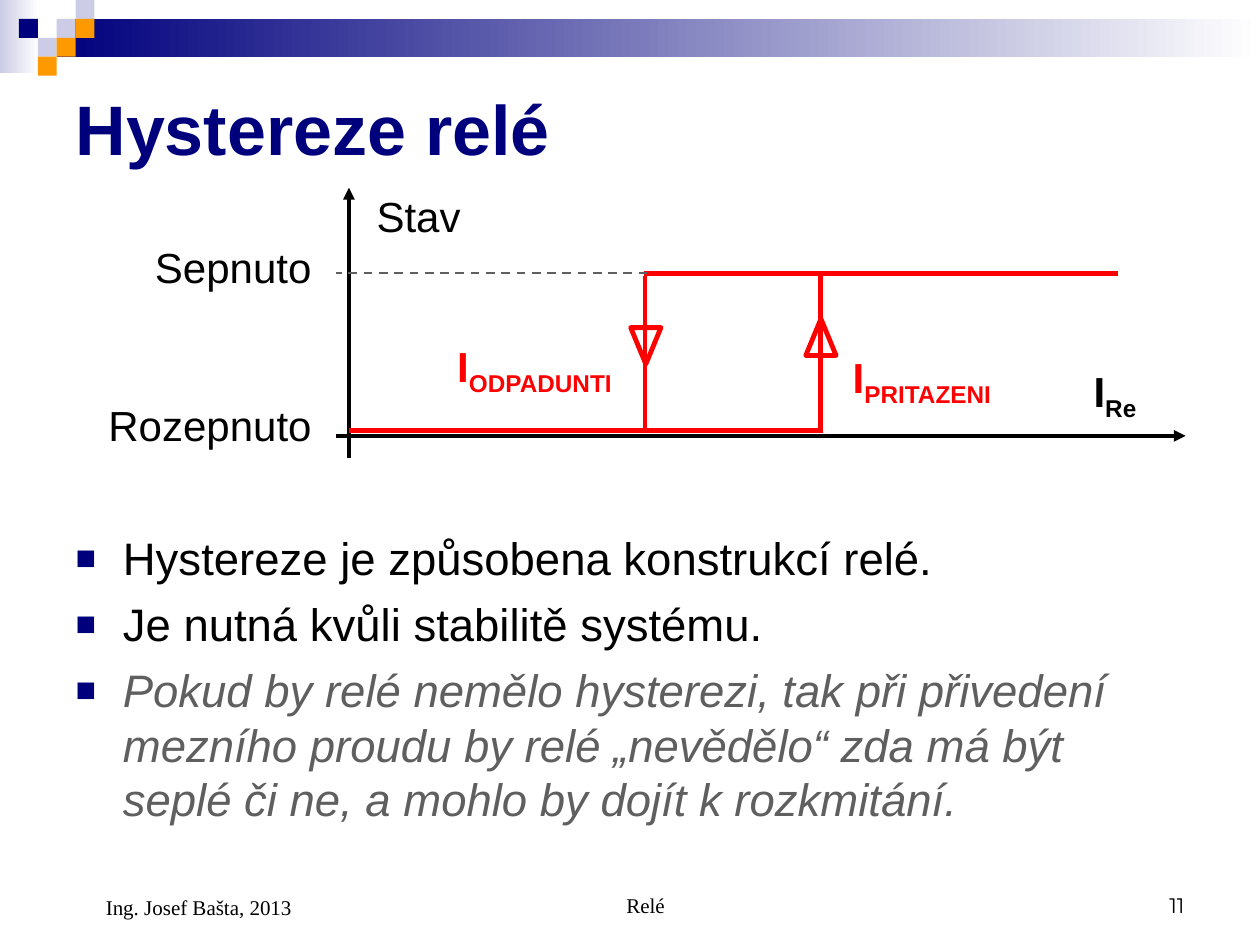
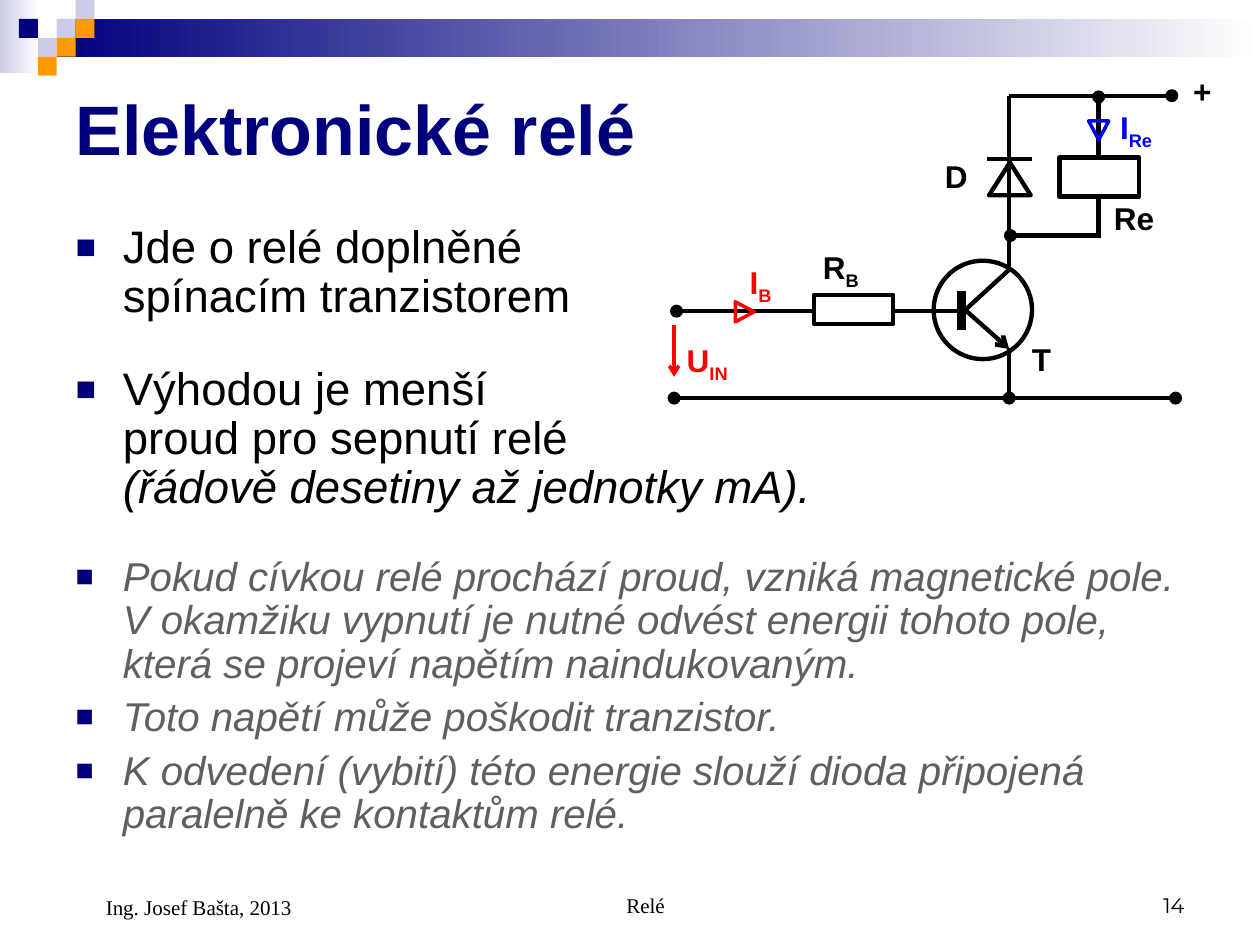
from dataclasses import dataclass

import lxml.etree
import pptx
import pptx.dml.color
import pptx.enum.dml
import pptx.enum.shapes
import pptx.enum.text
import pptx.oxml.ns
import pptx.util

Pt = pptx.util.Pt
RGB = pptx.dml.color.RGBColor
SHAPE = pptx.enum.shapes.MSO_SHAPE
ALIGN = pptx.enum.text.PP_ALIGN
ANCHOR = pptx.enum.text.MSO_ANCHOR
qn = pptx.oxml.ns.qn


@dataclass(frozen=True)
class Theme:
    navy: RGB = RGB(0x00, 0x00, 0x7D)
    pale: RGB = RGB(0xCC, 0xCC, 0xE6)
    orange: RGB = RGB(0xFF, 0x99, 0x00)
    white: RGB = RGB(0xFF, 0xFF, 0xFF)
    black: RGB = RGB(0x00, 0x00, 0x00)
    gray: RGB = RGB(0x5F, 0x5F, 0x5F)
    red: RGB = RGB(0xFF, 0x00, 0x00)
    blue: RGB = RGB(0x00, 0x00, 0xFF)
    font: str = "Arial"
    footer_font: str = "Times New Roman"
    number_font: str = "Montserrat"
    title_size: float = 40
    body_size: float = 26
    note_size: float = 23
    graph_size: float = 24
    circuit_size: float = 18
    footer_size: float = 12


theme = Theme()


def style_font(font, size, color, name=theme.font, bold=False, italic=False):
    font.name, font.size, font.bold, font.italic = name, Pt(size), bold, italic
    font.color.rgb = color


def add_box(slide, text, box, margins, align=ALIGN.LEFT, anchor=ANCHOR.TOP):
    """Add a wrapping text box and return its only paragraph."""
    frame = slide.shapes.add_textbox(*map(Pt, box)).text_frame
    frame.word_wrap = True
    frame.vertical_anchor = anchor
    frame.margin_left, frame.margin_top, frame.margin_right, frame.margin_bottom = map(Pt, margins)
    paragraph = frame.paragraphs[0]
    paragraph.text = text
    paragraph.alignment = align
    return paragraph


# Hysteresis graph
axis_x, axis_y = 199.4, 249.1
off_y, on_y = 246.2, 156.2
release_x, attract_x = 368.6, 468.7
# x1, y1, x2, y2, color, width, head, tail, dashed
graph_lines = [
    (192.2, axis_y, 677.5, axis_y, theme.black, 2.25, None, "triangle", False),
    (axis_x, 262, axis_x, 107.3, theme.black, 2.25, None, "triangle", False),
    (axis_x, off_y, 470.2, off_y, theme.red, 2.75, None, None, False),
    (367.9, on_y, 638.6, on_y, theme.red, 2.75, None, None, False),
    (attract_x, 157.7, attract_x, off_y, theme.red, 2.75, None, None, False),
    (release_x, 157.7, release_x, off_y, theme.red, 2.75, None, None, False),
    (370, on_y, 192.2, on_y, theme.gray, 1.25, None, None, True),
]
# preset, box, rotation, color, width, filled
graph_outlines = [
    (SHAPE.ISOSCELES_TRIANGLE, (460.5, 182.2, 17.3, 20.9), 0, theme.red, 2.75, False),
    (SHAPE.ISOSCELES_TRIANGLE, (360.4, 187.2, 17.3, 20.9), 180, theme.red, 2.75, False),
]
# text, subscript, box, color, bold, alignment
graph_labels = [
    ("I", "Re", (617.8, 205.2, 73.4, 40.3), theme.black, True, ALIGN.LEFT),
    ("Stav", "", (208.1, 105.1, 73.4, 36), theme.black, False, ALIGN.LEFT),
    ("Sepnuto", "", (54.7, 134.6, 130.3, 36), theme.black, False, ALIGN.RIGHT),
    ("Rozepnuto", "", (38.9, 224.6, 146.2, 36), theme.black, False, ALIGN.RIGHT),
    ("I", "PRITAZENI", (480.2, 197.3, 108.7, 40.3), theme.red, True, ALIGN.LEFT),
    ("I", "ODPADUNTI", (254.2, 190.8, 118.1, 40.3), theme.red, True, ALIGN.LEFT),
]

# Transistor circuit
collector_x, coil_x = 576.7, 627.8
supply_y, joint_y, base_y, ground_y = 54.7, 134.6, 177.8, 227.5
circuit_lines = [
    (coil_x, joint_y, coil_x, 55.4, theme.black, 2.5, None, "oval", False),
    (collector_x, ground_y, collector_x, 198.7, theme.black, 2.5, "oval", None, False),
    (549.4, 166.3, 549.4, 188.6, theme.black, 5, None, None, False),
    (550.8, base_y, collector_x, 154.1, theme.black, 2.5, None, None, False),
    (551.5, 177.1, collector_x, 199.4, theme.black, 2.5, None, "arrow", False),
    (386.6, base_y, 547.9, base_y, theme.black, 2.5, "oval", None, False),
    (collector_x, supply_y, 669.6, supply_y, theme.black, 2.5, None, "oval", False),
    (577.4, joint_y, 629.3, joint_y, theme.black, 2.5, "oval", None, False),
    (collector_x, 154.1, collector_x, supply_y, theme.black, 2.5, None, None, False),
    (385.2, ground_y, 671.8, ground_y, theme.black, 2.5, "oval", "oval", False),
    (563.8, 90.7, 589.7, 90.7, theme.black, 2.25, None, None, False),
    (385.2, 185.8, 385.2, 215.3, theme.red, 2, None, "arrow", False),
]
circuit_outlines = [
    (SHAPE.OVAL, (533.5, 149, 56.2, 56.2), 0, theme.black, 2.5, False),
    (SHAPE.RECTANGLE, (465.1, 168.5, 45.4, 16.6), 0, theme.black, 2.5, True),
    (SHAPE.ISOSCELES_TRIANGLE, (565.2, 92.9, 23.8, 18.7), 0, theme.black, 2.5, False),
    (SHAPE.RECTANGLE, (605.5, 90, 45.4, 22.3), 0, theme.black, 2.5, True),
    (SHAPE.ISOSCELES_TRIANGLE, (419.8, 172.8, 11.5, 10.8), 90, theme.red, 2, False),
    (SHAPE.ISOSCELES_TRIANGLE, (622.1, 69.1, 11.5, 10.8), 180, theme.blue, 2, False),
]
circuit_labels = [
    ("T", "", (589.7, 194.4, 17.3, 21.6), theme.black, True, ALIGN.LEFT),
    ("R", "B", (470.2, 141.8, 36.7, 24.5), theme.black, True, ALIGN.LEFT),
    ("+", "", (681.8, 41, 14.4, 21.6), theme.black, True, ALIGN.LEFT),
    ("D", "", (540, 90, 18.7, 21.6), theme.black, True, ALIGN.LEFT),
    ("Re", "", (636.5, 113.8, 36.7, 21.6), theme.black, True, ALIGN.LEFT),
    ("U", "IN", (392.4, 195.1, 36.7, 24.5), theme.red, True, ALIGN.LEFT),
    ("I", "B", (428.4, 150.5, 19.4, 24.5), theme.red, True, ALIGN.LEFT),
    ("I", "Re", (640.1, 61.9, 25.9, 24.5), theme.blue, True, ALIGN.LEFT),
]

# text, size, color, space before, number of italic runs at the end
hysteresis_list = [
    ("Hystereze je způsobena konstrukcí relé.", theme.body_size, theme.black, 0, 0),
    ("Je nutná kvůli stabilitě systému.", theme.body_size, theme.black, 6.5, 0),
    ("Pokud by relé nemělo hysterezi, tak při přivedení mezního proudu by relé „nevědělo“ "
     "zda má být seplé či ne, a mohlo by dojít k rozkmitání.",
     theme.body_size, theme.gray, 6.5, 1),
]
electronic_list = [
    ("Jde o relé doplněné\vspínacím tranzistorem", theme.body_size, theme.black, 0, 0),
    ("Výhodou je menší\vproud pro sepnutí relé\v(řádově desetiny až jednotky mA).",
     theme.body_size, theme.black, 25, 1),
    ("Pokud cívkou relé prochází proud, vzniká magnetické pole. V okamžiku vypnutí je nutné "
     "odvést energii tohoto pole, která se projeví napětím naindukovaným.",
     theme.note_size, theme.gray, 24.5, 1),
    ("Toto napětí může poškodit tranzistor.", theme.note_size, theme.gray, 5.8, 1),
    ("K odvedení (vybití) této energie slouží dioda připojená paralelně ke kontaktům relé.",
     theme.note_size, theme.gray, 5.8, 1),
]

pages = [
    ("Hystereze relé", "11", (36, 299.5, 648, 177), 1.0, hysteresis_list, graph_lines,
     graph_outlines, graph_labels, theme.graph_size, (7.2, 3.6, 7.2, 3.6)),
    ("Elektronické relé", "14", (36, 124.6, 648, 358.6), 0.9, electronic_list, circuit_lines,
     circuit_outlines, circuit_labels, theme.circuit_size, (0, 0, 0, 0)),
]

presentation = pptx.Presentation()
presentation.slide_width, presentation.slide_height = Pt(720), Pt(540)
layout = presentation.slide_layouts[1]
slides = [presentation.slides.add_slide(layout) for page in pages]

# Header band and squares, drawn once and moved to the shared layout
cell = 10.8
header = [
    ((0, 0, 22.3, 41.8), theme.pale, True),
    ((3 * cell, cell, 720 - 3 * cell, 2 * cell), theme.navy, True),
]
for column, row, color in [
    (3, 1, theme.pale), (4, 0, theme.pale), (4, 1, theme.orange), (2, 2, theme.pale),
    (1, 1, theme.navy), (3, 2, theme.orange), (2, 3, theme.orange),
]:
    header.append(((column * cell, row * cell, cell, cell), color, False))
for box, color, fades in header:
    shape = slides[0].shapes.add_shape(SHAPE.RECTANGLE, *map(Pt, box))
    shape.shadow.inherit = False
    shape.line.fill.background()
    if fades:
        shape.fill.gradient()
        shape.fill.gradient_angle = 0
        for stop, stop_color in zip(shape.fill.gradient_stops, (color, theme.white)):
            stop.color.rgb = stop_color
    else:
        shape.fill.solid()
        shape.fill.fore_color.rgb = color
    layout.shapes.element.append(shape.element)

for slide, page in zip(slides, pages):
    title, number, body_box, spacing, items, lines, outlines, labels, label_size, margins = page

    heading = slide.shapes.title
    heading.left, heading.top, heading.width, heading.height = map(Pt, (36, 36, 648, 74.2))
    heading.text_frame.text = title
    heading.text_frame.auto_size = pptx.enum.text.MSO_AUTO_SIZE.NONE
    heading.text_frame.vertical_anchor = ANCHOR.MIDDLE
    paragraph = heading.text_frame.paragraphs[0]
    paragraph.alignment = ALIGN.LEFT
    style_font(paragraph.runs[0].font, theme.title_size, theme.navy, bold=True)

    body = slide.placeholders[1]
    body.left, body.top, body.width, body.height = map(Pt, body_box)
    body.text_frame.auto_size = pptx.enum.text.MSO_AUTO_SIZE.NONE
    for index, (text, size, color, space_before, italic_runs) in enumerate(items):
        paragraph = body.text_frame.add_paragraph() if index else body.text_frame.paragraphs[0]
        paragraph.text = text
        properties = paragraph._p.get_or_add_pPr()
        properties.set("marL", str(Pt(27)))
        properties.set("indent", str(-Pt(27)))
        bullet_color = lxml.etree.SubElement(properties, qn("a:buClr"))
        lxml.etree.SubElement(bullet_color, qn("a:srgbClr"), val=str(theme.navy))
        lxml.etree.SubElement(properties, qn("a:buSzPct"), val="75000")
        lxml.etree.SubElement(properties, qn("a:buFont"), typeface=theme.font)
        lxml.etree.SubElement(properties, qn("a:buChar"), char="■")
        paragraph.space_before = Pt(space_before)
        paragraph.line_spacing = spacing
        first_italic = len(paragraph.runs) - italic_runs
        for position, run in enumerate(paragraph.runs):
            style_font(run.font, size, color, italic=position >= first_italic)

    for x1, y1, x2, y2, color, width, head, tail, dashed in lines:
        connector = slide.shapes.add_connector(
            pptx.enum.shapes.MSO_CONNECTOR.STRAIGHT, *map(Pt, (x1, y1, x2, y2)))
        connector.line.color.rgb = color
        connector.line.width = Pt(width)
        if dashed:
            connector.line.dash_style = pptx.enum.dml.MSO_LINE.DASH
        shape_properties = connector.element.spPr
        outline = shape_properties.find(qn("a:ln"))
        for tag, kind in (("a:headEnd", head), ("a:tailEnd", tail)):
            if kind:
                lxml.etree.SubElement(outline, qn(tag), type=kind)
        lxml.etree.SubElement(shape_properties, qn("a:effectLst"))

    for preset, box, rotation, color, width, filled in outlines:
        shape = slide.shapes.add_shape(preset, *map(Pt, box))
        shape.shadow.inherit = False
        shape.rotation = rotation
        shape.line.color.rgb = color
        shape.line.width = Pt(width)
        if filled:
            shape.fill.solid()
            shape.fill.fore_color.rgb = theme.white
        else:
            shape.fill.background()

    for text, subscript, box, color, bold, align in labels:
        paragraph = add_box(slide, text, box, margins, align)
        if subscript:
            run = paragraph.add_run()
            run.text = subscript
            run._r.get_or_add_rPr().set("baseline", "-25000")
        for run in paragraph.runs:
            style_font(run.font, label_size, color, bold=bold)

    for text, box, left_margin, align, font_name in [
        ("Relé", (246.2, 491.8, 228.2, 36), 24.5, ALIGN.CENTER, theme.footer_font),
        (number, (516.2, 491.8, 167.8, 36), 7.2, ALIGN.RIGHT, theme.number_font),
        ("Ing. Josef Bašta, 2013", (36, 491.8, 167.8, 37.4), 24.5, ALIGN.LEFT, theme.footer_font),
    ]:
        paragraph = add_box(slide, text, box, (left_margin, 3.6, 7.2, 3.6), align, ANCHOR.BOTTOM)
        style_font(paragraph.runs[0].font, theme.footer_size, theme.black, font_name)

presentation.save("out.pptx")
